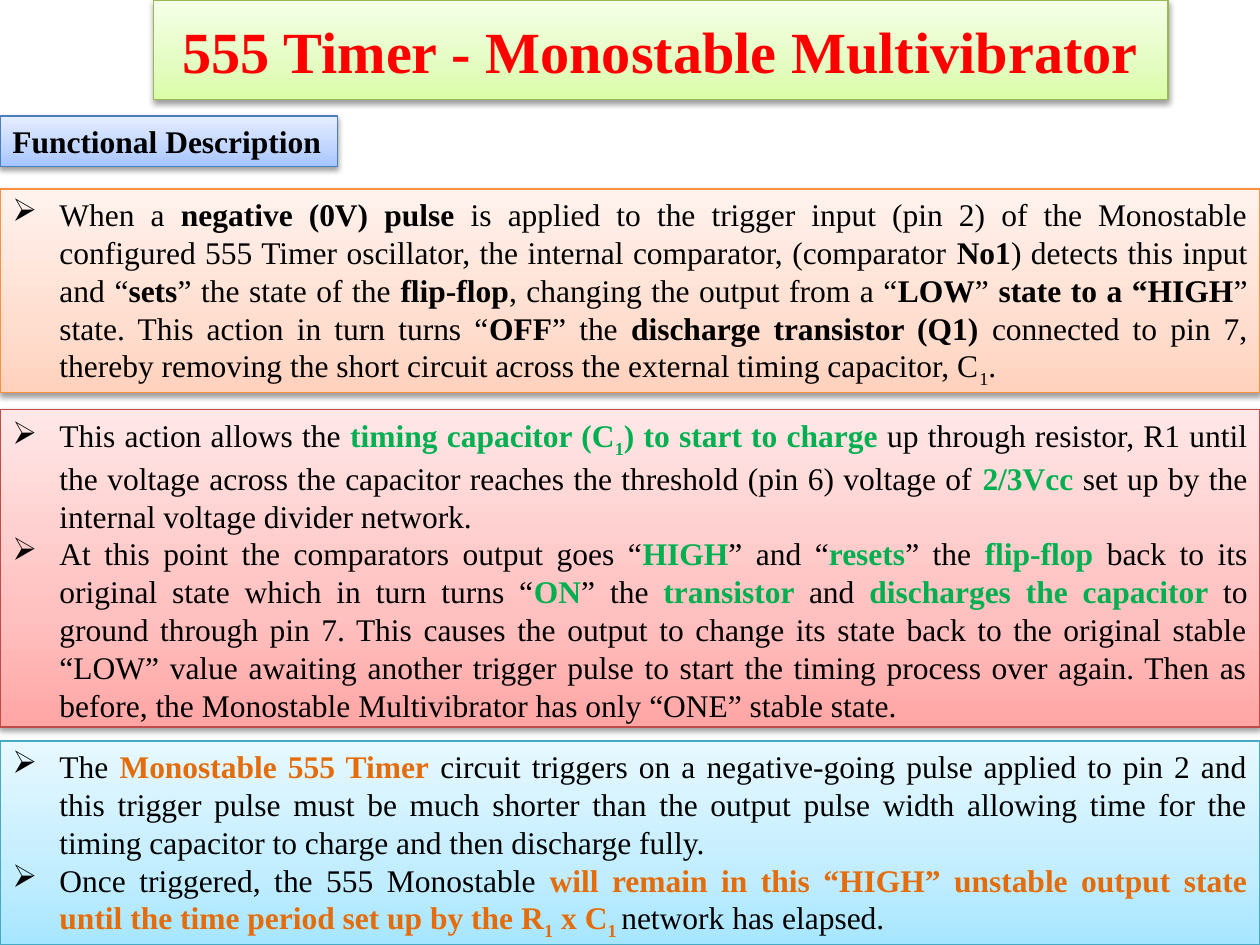
"""Build the slide on the 555 timer as a monostable multivibrator."""
from dataclasses import dataclass

import lxml.etree
import pptx
import pptx.dml.color
import pptx.enum.shapes
import pptx.enum.text
import pptx.oxml.ns
import pptx.util

Cm = pptx.util.Cm
Pt = pptx.util.Pt
Align = pptx.enum.text.PP_ALIGN
Anchor = pptx.enum.text.MSO_ANCHOR
Fit = pptx.enum.text.MSO_AUTO_SIZE

FONT = "Times New Roman"
HUES = {
    "black": "000000",
    "red": "FF0000",
    "green": "00B050",
    "rust": "E46C0A",
}
SKINS = {
    "peach": ("FFD2BD", "FFDED0", "FFF2ED", "F69240"),
    "rose": ("FFA6A5", "FFC0BF", "FFE7E7", "BF4C48"),
    "sky": ("A7E6FF", "C1EDFF", "E7F8FF", "46AAC5"),
    "lime": ("DAFDA7", "E4FCC2", "F5FFE7", "98B955"),
    "blue": ("A4C4FF", "BFD4FF", "E6EEFF", "4B7EBC"),
}
STOPS = (0, 35, 100)


@dataclass
class Panel:
    """A shaded box; *stars* mark stressed text and _bars_ subscripts."""
    left: float
    top: float
    width: float
    height: float
    skin: str
    lines: tuple[str, ...]
    hue: str = "black"
    stress: str = "black"
    size: float = 18
    bold: bool = False
    list: bool = True
    align: Align = Align.JUSTIFY
    anchor: Anchor = Anchor.TOP
    fit: Fit = Fit.SHAPE_TO_FIT_TEXT
    wrap: bool = True


PANELS = [
    Panel(0, 3.81, 25.4, 4.11, "peach", (
        "When a *negative (0V) pulse *is applied to the trigger input (pin 2) of the "
        "Monostable configured 555 Timer oscillator, the internal comparator, "
        "(comparator *No1*) detects this input and “*sets*” the state of the "
        "*flip-flop*, changing the output from a “*LOW*” *state to a “HIGH*” state. "
        "This action in turn turns “*OFF*” the *discharge transistor (Q1) *connected "
        "to pin 7, thereby removing the short circuit across the external timing "
        "capacitor, C_1_.",
    )),
    Panel(0, 8.26, 25.4, 6.4, "rose", (
        "This action allows the *timing capacitor (C_1_) to start to charge *up "
        "through resistor, R1 until the voltage across the capacitor reaches the "
        "threshold (pin 6) voltage of *2/3Vcc* set up by the internal voltage "
        "divider network.",
        "At this point the comparators output goes “*HIGH*” and “*resets*” the "
        "*flip-flop *back to its original state which in turn turns “*ON*” the "
        "*transistor *and *discharges the capacitor *to ground through pin 7. This "
        "causes the output to change its state back to the original stable “LOW” "
        "value awaiting another trigger pulse to start the timing process over "
        "again. Then as before, the Monostable Multivibrator has only “ONE” stable "
        "state.",
    ), stress="green"),
    Panel(0, 14.94, 25.4, 4.11, "sky", (
        "The *Monostable 555 Timer* circuit triggers on a negative-going pulse "
        "applied to pin 2 and this trigger pulse must be much shorter than the "
        "output pulse width allowing time for the timing capacitor to charge and "
        "then discharge fully.",
        "Once triggered, the 555 Monostable *will remain in this “HIGH” unstable "
        "output state until the time period set up by the R_1_ x C_1 _*network has "
        "elapsed.",
    ), stress="rust"),
    Panel(3.1, 0, 20.45, 2.01, "lime", ("555 Timer - Monostable Multivibrator",),
          hue="red", size=33.3, bold=True, list=False, align=Align.CENTER,
          anchor=Anchor.MIDDLE, fit=Fit.NONE),
    Panel(0, 2.34, 6.81, 1.02, "blue", ("Functional Description",),
          bold=True, list=False, align=Align.LEFT, wrap=False),
]


def rgb(code: str) -> pptx.dml.color.RGBColor:
    """Turn a hex string into a colour."""
    return pptx.dml.color.RGBColor.from_string(code)


def node(root, tag: str, **attrs):
    """Append a drawing element with the given attributes."""
    return lxml.etree.SubElement(
        root, pptx.oxml.ns.qn(tag), {key: str(val) for key, val in attrs.items()})


def paint(shape, skin: str) -> None:
    """Give a shape its gradient, outline and soft shadow."""
    *tints, edge = SKINS[skin]
    shape.fill.gradient()
    shape.fill.gradient_angle = 90
    props = shape._element.spPr
    ramp = props.find(".//" + pptx.oxml.ns.qn("a:gsLst"))
    for stop in list(ramp):
        ramp.remove(stop)
    for pos, tint in zip(STOPS, tints):
        node(node(ramp, "a:gs", pos=pos * 1000), "a:srgbClr", val=tint)
    shape.line.color.rgb = rgb(edge)
    shape.line.width = Pt(0.75)
    shape.shadow.inherit = False
    glow = node(props.find(pptx.oxml.ns.qn("a:effectLst")), "a:outerShdw",
                blurRad=40000, dist=20000, dir=5400000, rotWithShape=0)
    node(node(glow, "a:srgbClr", val=HUES["black"]), "a:alpha", val=38000)


def write(para, line: str, panel: Panel) -> None:
    """Fill a paragraph from a marked-up line."""
    para.alignment = panel.align
    if panel.list:
        props = para._p.get_or_add_pPr()
        props.set("marL", str(Cm(0.95)))
        props.set("indent", str(Cm(-0.95)))
        node(props, "a:buChar", char="➢")
    para.font.name = FONT
    para.font.size = Pt(panel.size)
    para.font.bold = panel.bold
    para.font.color.rgb = rgb(HUES[panel.hue])
    for num, part in enumerate(line.split("*")):
        for sub, text in enumerate(part.split("_")):
            if not text:
                continue
            run = para.add_run()
            run.text = text
            if num % 2:
                run.font.bold = True
                run.font.color.rgb = rgb(HUES[panel.stress])
            if sub % 2:
                run._r.get_or_add_rPr().set("baseline", "-25000")


def draw(slide, panel: Panel) -> None:
    """Draw one panel with its text."""
    shape = slide.shapes.add_shape(
        pptx.enum.shapes.MSO_SHAPE.RECTANGLE, Cm(panel.left), Cm(panel.top),
        Cm(panel.width), Cm(panel.height))
    paint(shape, panel.skin)
    frame = shape.text_frame
    frame.word_wrap = panel.wrap
    frame.auto_size = panel.fit
    frame.vertical_anchor = panel.anchor
    for num, line in enumerate(panel.lines):
        para = frame.add_paragraph() if num else frame.paragraphs[0]
        write(para, line, panel)


def main() -> None:
    """Build and save the deck."""
    deck = pptx.Presentation()
    deck.slide_width, deck.slide_height = Cm(25.4), Cm(19.05)
    slide = deck.slides.add_slide(deck.slide_layouts[6])
    for panel in PANELS:
        draw(slide, panel)
    deck.save("out.pptx")


if __name__ == "__main__":
    main()
